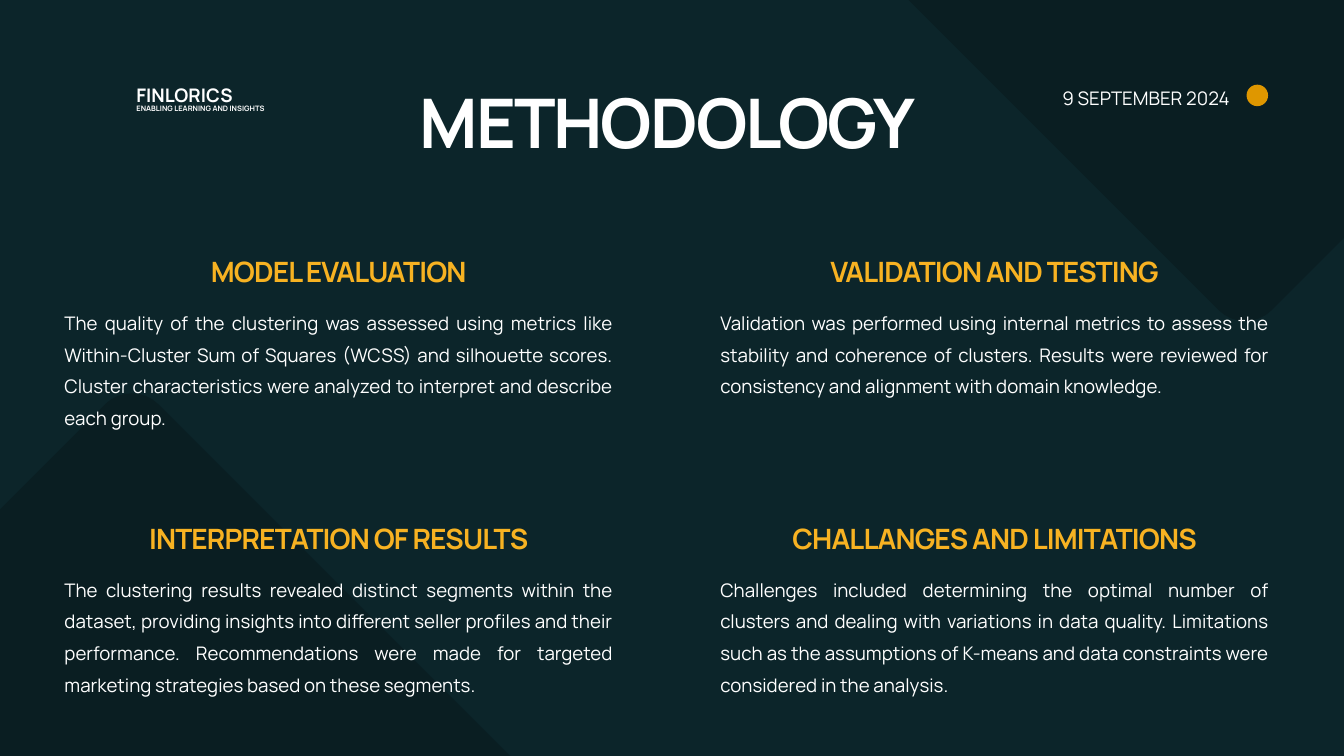
from pptx import Presentation
from pptx.dml.color import RGBColor
from pptx.enum.shapes import MSO_SHAPE
from pptx.enum.text import MSO_AUTO_SIZE, PP_ALIGN as Align
from pptx.util import Inches, Pt

COLORS = {
    "background": "0C252A",
    "diamond": "0A1E22",
    "dot": "DF9700",
    "heading": "F7B222",
    "text": "FFFFFF",
}
FONT = "Manrope"

COLUMNS = (0.96, 10.72)
ROWS = (3.89, 7.86)
SECTIONS = (
    (
        ("MODEL EVALUATION",
         "The quality of the clustering was assessed using metrics like "
         "Within-Cluster Sum of Squares (WCSS) and silhouette scores. Cluster "
         "characteristics were analyzed to interpret and describe each group."),
        ("VALIDATION AND TESTING",
         "Validation was performed using internal metrics to assess the "
         "stability and coherence of clusters. Results were reviewed for "
         "consistency and alignment with domain knowledge."),
    ),
    (
        ("INTERPRETATION OF RESULTS",
         "The clustering results revealed distinct segments within the "
         "dataset, providing insights into different seller profiles and their "
         "performance. Recommendations were made for targeted marketing "
         "strategies based on these segments."),
        ("CHALLANGES AND LIMITATIONS",
         "Challenges included determining the optimal number of clusters and "
         "dealing with variations in data quality. Limitations such as the "
         "assumptions of K-means and data constraints were considered in the "
         "analysis."),
    ),
)


def bezier(points, t):
    """Return the point at t on a cubic curve."""
    weights = ((1 - t) ** 3, 3 * t * (1 - t) ** 2, 3 * t ** 2 * (1 - t), t ** 3)
    return tuple(sum(w * p[axis] for w, p in zip(weights, points)) for axis in (0, 1))


class SlideBuilder:
    def __init__(self, slide):
        self.slide = slide
        background = slide.background.fill
        background.solid()
        background.fore_color.rgb = RGBColor.from_string(COLORS["background"])

    def paint(self, shape, color):
        shape.shadow.inherit = False
        shape.fill.solid()
        shape.fill.fore_color.rgb = RGBColor.from_string(COLORS[color])
        shape.line.fill.background()

    def diamond(self, center_x, center_y):
        """Draw a large square standing on a rounded corner."""
        corner = ((-0.39, -5.81), (-0.18, -6.02), (0.18, -6.02), (0.39, -5.81))
        outline = []
        for _ in range(4):
            outline += [bezier(corner, step / 8) for step in range(9)]
            corner = [(-y, x) for x, y in corner]
        vertices = [(Inches(center_x + x), Inches(center_y + y)) for x, y in outline]
        builder = self.slide.shapes.build_freeform(*vertices[0])
        builder.add_line_segments(vertices[1:], close=True)
        self.paint(builder.convert_to_shape(), "diamond")

    def dot(self, left, top, size):
        box = map(Inches, (left, top, size, size))
        self.paint(self.slide.shapes.add_shape(MSO_SHAPE.OVAL, *box), "dot")

    def text(self, box, lines, align=Align.LEFT, color="text", bold=False, tracking=0):
        """Add a text box; lines holds (words, size, line spacing) in points."""
        frame = self.slide.shapes.add_textbox(*map(Inches, box)).text_frame
        frame.word_wrap = True
        frame.auto_size = MSO_AUTO_SIZE.SHAPE_TO_FIT_TEXT
        frame.margin_left = frame.margin_right = 0
        frame.margin_top = frame.margin_bottom = 0
        frame.text = "\n".join(words for words, _, _ in lines)
        for paragraph, (_, size, spacing) in zip(frame.paragraphs, lines):
            paragraph.alignment = align
            paragraph.line_spacing = Pt(spacing)
            for run in paragraph.runs:
                run.font.name = FONT
                run.font.size = Pt(size)
                run.font.bold = bold
                run.font.color.rgb = RGBColor.from_string(COLORS[color])
                if tracking:
                    run.font._element.set("spc", str(round(tracking * 100)))

    def section(self, left, top, heading, body):
        self.text((left - 0.96, top, 10.08, 0.44), [(heading, 30, 28.8)],
                  Align.CENTER, "heading", bold=True, tracking=-0.9)
        self.text((left, top + 0.61, 8.16, 1.87), [(body, 20, 34)], Align.JUSTIFY)


def main():
    deck = Presentation()
    deck.slide_width, deck.slide_height = Inches(20), Inches(11.25)
    page = SlideBuilder(deck.slides.add_slide(deck.slide_layouts[6]))

    page.diamond(18.53, -1.19)
    page.diamond(1.96, 11.82)
    page.dot(18.55, 1.26, 0.32)

    page.text((2.03, 1.31, 2.32, 0.39),
              [("FINLORICS", 20, 19.2), ("ENABLING LEARNING AND INSIGHTS", 8, 7.7)],
              bold=True)
    page.text((4.86, 1.43, 10.15, 1.11), [("METHODOLOGY", 73.3, 70.4)],
              Align.CENTER, bold=True, tracking=-2.2)
    page.text((15.7, 1.23, 2.6, 0.39), [("9 SEPTEMBER 2024", 20, 28)], Align.RIGHT)

    for top, row in zip(ROWS, SECTIONS):
        for left, (heading, body) in zip(COLUMNS, row):
            page.section(left, top, heading, body)

    deck.save("out.pptx")


if __name__ == "__main__":
    main()
